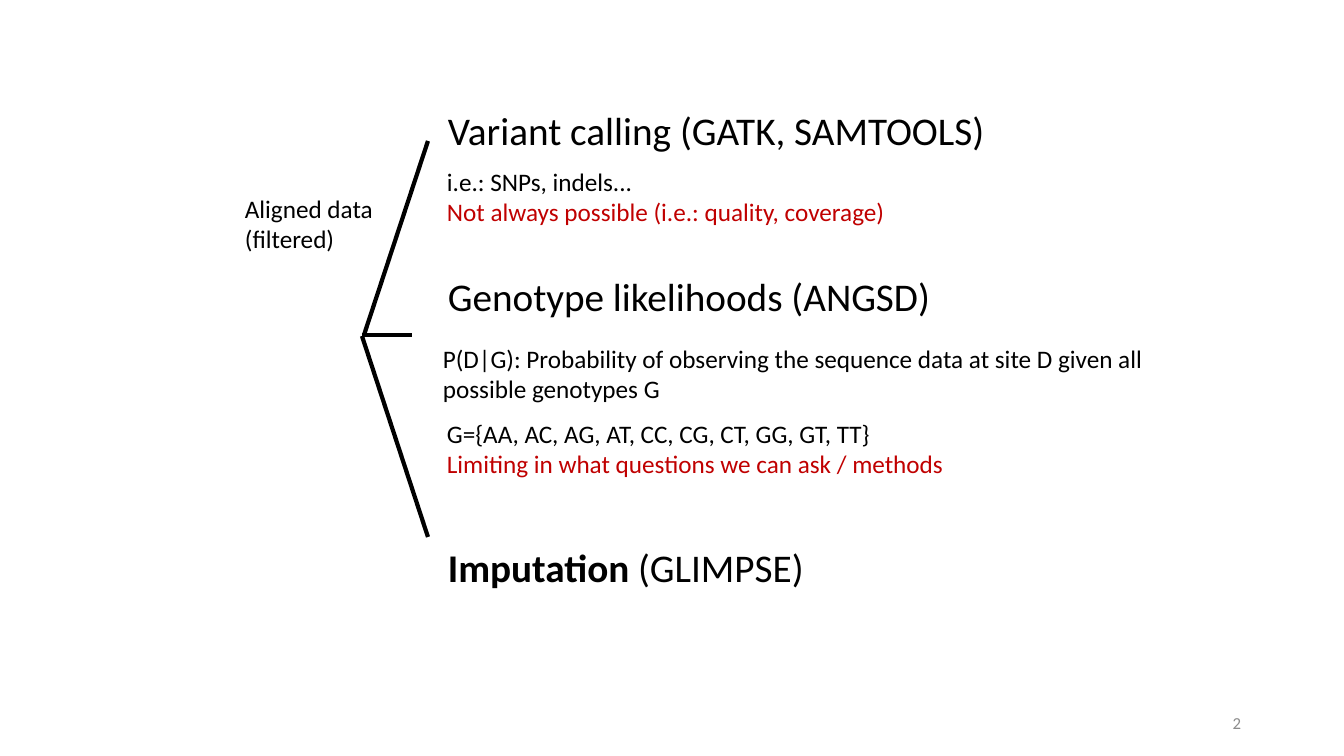
from lxml import etree
from pptx import Presentation
from pptx import util as u
from pptx.dml.color import RGBColor
from pptx.enum import shapes, text
from pptx.oxml import ns

COLOURS = {"ink": "000000", "warning": "C00000", "muted": "8C8C8C"}
FONT = "Calibri"
HEADING, BODY, SMALL = 28, 18, 12


def px(n):
    return u.Emu(round(n * 914400 / 100.8))


class SlideBuilder:
    """Holds the style and current slide, and draws its text and lines."""

    def __init__(self, prs):
        self.s = prs.slides.add_slide(prs.slide_layouts[6])

    def text(self, box, size, paragraphs, **frame):
        sp = self.s.shapes.add_textbox(*map(px, box))
        tf = sp.text_frame
        for name, value in {"word_wrap": True, **frame}.items():
            setattr(tf, name, value)
        for i, (runs, fmt) in enumerate(paragraphs):
            p = tf.paragraphs[0] if i == 0 else tf.add_paragraph()
            for name, value in fmt.items():
                setattr(p, name, value)
            for words, colour, bold in runs:
                r = p.add_run()
                r.text = words
                style = {"name": FONT, "size": u.Pt(size), "bold": bold}
                for name, value in style.items():
                    setattr(r.font, name, value)
                r.font.color.rgb = RGBColor.from_string(COLOURS[colour])

    def line(self, start, end):
        c = self.s.shapes.add_connector(
            shapes.MSO_CONNECTOR.STRAIGHT, *map(px, start + end))
        c.line.width = u.Pt(3)
        c.line.color.rgb = RGBColor.from_string(COLOURS["ink"])
        etree.SubElement(c._element.spPr, ns.qn("a:effectLst"))


def para(words, colour="ink", **fmt):
    return [(words, colour, False)], fmt


def main():
    prs = Presentation()
    prs.slide_width, prs.slide_height = px(1344), px(756)
    b = SlideBuilder(prs)

    b.text((949, 703, 302, 40), SMALL,
           [para("2", "muted", alignment=text.PP_ALIGN.RIGHT)],
           vertical_anchor=text.MSO_ANCHOR.MIDDLE)
    b.text((235, 188, 194, 72), BODY, [para("Aligned data (filtered)")])

    for start, end in [((362, 336), (428, 537)),
                       ((364, 335), (428, 141)),
                       ((362, 335), (412, 335))]:
        b.line(start, end)

    imputation = [("Imputation", "ink", True), (" (GLIMPSE)", "ink", False)]
    for top, width, heading in [
            (101, 585, para("Variant calling (GATK, SAMTOOLS)")),
            (267, 902, para("Genotype likelihoods (ANGSD)")),
            (538, 599, (imputation, {}))]:
        b.text((438, top, width, 57), HEADING, [heading])

    b.text((433, 338, 799, 72), BODY, [
        para("P(D|G): Probability of observing the sequence data "
             "at site D given all possible genotypes G")])
    b.text((437, 398, 537, 87), BODY, [
        para("G={AA, AC, AG, AT, CC, CG, CT, GG, GT, TT}", line_spacing=1.5),
        para("Limiting in what questions we can ask / methods", "warning")])
    b.text((437, 161, 672, 72), BODY, [
        para("i.e.: SNPs, indels..."),
        para("Not always possible (i.e.: quality, coverage)", "warning")])

    prs.save("out.pptx")


if __name__ == "__main__":
    main()
